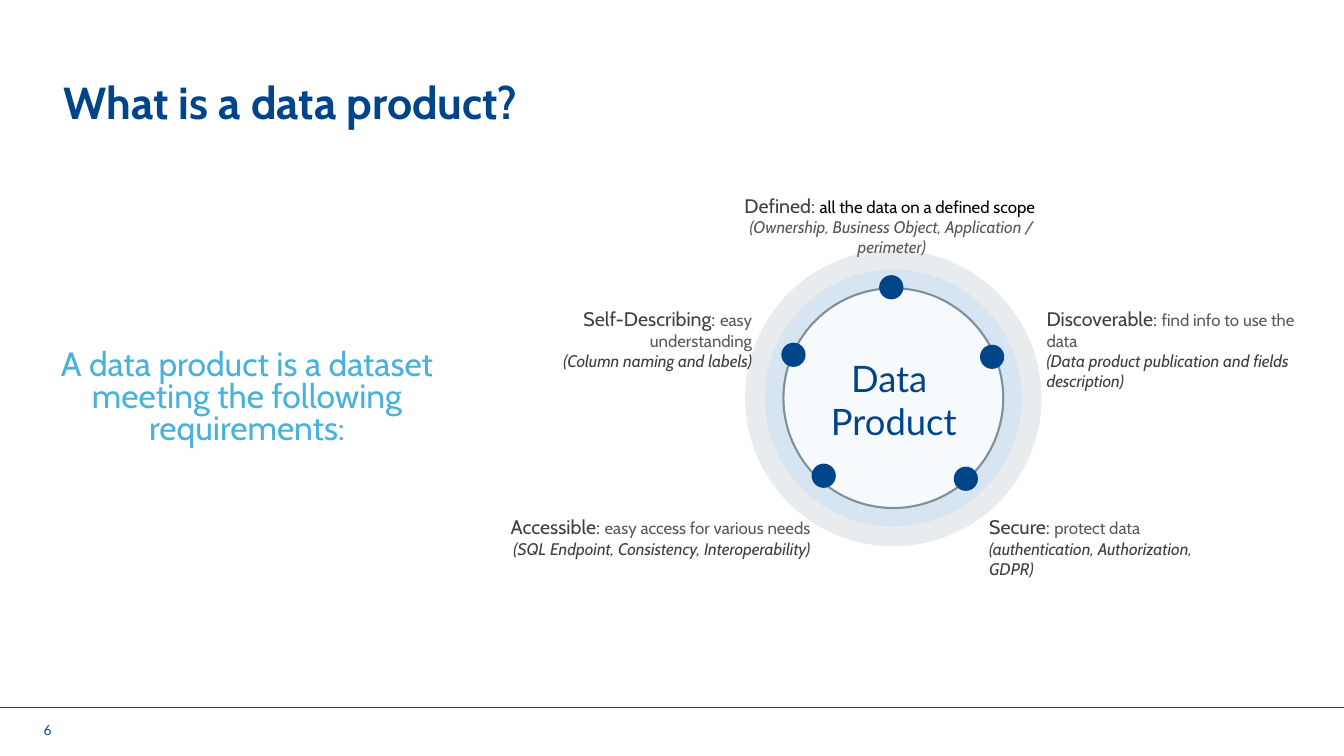
from lxml import etree
from pptx import Presentation
from pptx.dml.color import RGBColor
from pptx.enum.shapes import MSO_CONNECTOR, MSO_SHAPE
from pptx.enum.text import MSO_ANCHOR, MSO_AUTO_SIZE, PP_ALIGN
from pptx.oxml.ns import qn
from pptx.util import Inches, Pt

LEFT, CENTER, RIGHT = PP_ALIGN.LEFT, PP_ALIGN.CENTER, PP_ALIGN.RIGHT
TOP, MIDDLE, BOTTOM = MSO_ANCHOR.TOP, MSO_ANCHOR.MIDDLE, MSO_ANCHOR.BOTTOM
GROW, FIXED = MSO_AUTO_SIZE.SHAPE_TO_FIT_TEXT, MSO_AUTO_SIZE.NONE
OVAL = MSO_SHAPE.OVAL
STRAIGHT = MSO_CONNECTOR.STRAIGHT

COLORS = {
    "navy": "004489", "sky": "4AB1DA", "slate": "374146", "gray": "595959",
    "charcoal": "3F3F3F", "black": "000000", "outline": "7E9099",
    "outer": "D4DADD", "middle": "B4D9FF", "inner": "FFFFFF",
}
PALETTE = {name: RGBColor.from_string(value) for name, value in COLORS.items()}

deck = Presentation()
deck.slide_width, deck.slide_height = Inches(13.33), Inches(7.5)
CELL = deck.slide_height / 75
page = deck.slides.add_slide(deck.slide_layouts[6])


def cells(*counts):
    return [round(count * CELL) for count in counts]


def add_text(place, paragraphs, align=LEFT, anchor=TOP, size=FIXED,
             margins=(1, 0.5, 1, 0.5), spacing=1.0):
    box = page.shapes.add_textbox(*cells(*place))
    left, top, right, bottom = cells(*margins)
    frame_format = {
        "word_wrap": True, "auto_size": size, "vertical_anchor": anchor,
        "margin_left": left, "margin_top": top,
        "margin_right": right, "margin_bottom": bottom,
    }
    for name, value in frame_format.items():
        setattr(box.text_frame, name, value)
    for index, spans in enumerate(paragraphs):
        para = box.text_frame.paragraphs[0] if index == 0 else box.text_frame.add_paragraph()
        para.alignment, para.line_spacing = align, spacing
        for text, color, font_format in spans:
            span = para.add_run()
            span.text = text
            span.font.color.rgb = PALETTE[color]
            for name, value in font_format.items():
                setattr(span.font, name, value)


TITLE = {"name": "Cabin", "size": Pt(32), "bold": True}
STATEMENT = {"name": "Cabin", "size": Pt(24)}
TERM = {"name": "Cabin", "size": Pt(14)}
MEANING = {"name": "Cabin", "size": Pt(12)}
EXAMPLE = {**MEANING, "italic": True}
HUB = {"name": "Lato", "size": Pt(26)}
NUMBER = {"name": "Lato", "size": Pt(9.8)}

footer_line = page.shapes.add_connector(
    STRAIGHT, 0, *cells(70.2), deck.slide_width, *cells(70.2))
footer_line.line.color.rgb = PALETTE["navy"]
footer_line.line.width = Pt(0.5)
etree.SubElement(footer_line._element.spPr, qn("a:effectLst"))

add_text((0.4, 71.4, 5.7, 2.1), [[("6", "navy", NUMBER)]], RIGHT, MIDDLE)
add_text((6.3, 1, 120.7, 12.6), [[("What is a data product?", "navy", TITLE)]],
         anchor=BOTTOM, margins=(0, 0, 0, 0.8), spacing=0.9)
add_text((0, 28.4, 49, 22.3),
         [[("A data product is a dataset", "sky", STATEMENT)],
          [("meeting the following requirements:", "sky", STATEMENT)]],
         CENTER, MIDDLE, spacing=0.8)

RING_X, RING_Y, DOT = 88.6, 39.5, 2.4
rings = [(29.4, "outer", 49), (25.5, "middle", 32), (21.8, "inner", 82)]
dots = [(78.7, 35.2), (88.4, 28.5), (98.4, 35.4), (81.7, 47.2), (95.8, 47.5)]
circles = [(RING_X, RING_Y, *ring) for ring in rings]
circles += [(x, y, DOT, "navy", 100) for x, y in dots]

for x, y, diameter, color, opacity in circles:
    circle = page.shapes.add_shape(
        OVAL, *cells(x - diameter / 2, y - diameter / 2, diameter, diameter))
    circle.shadow.inherit = False
    circle.fill.solid()
    circle.fill.fore_color.rgb = PALETTE[color]
    if opacity < 100:
        fill_color = circle._element.spPr.find(qn("a:solidFill"))[0]
        etree.SubElement(fill_color, qn("a:alpha"), val=str(opacity * 1000))
    if color == "inner":
        circle.line.color.rgb = PALETTE["outline"]
        circle.line.width = Pt(1.5)
    else:
        circle.line.fill.background()

requirements = [
    ((72.8, 18.7, 31.3, 5.4), CENTER, "Defined: ", "all the data on a defined scope ", "black",
     "(Ownership, Business Object, Application / perimeter)", "gray"),
    ((103.8, 30, 26.1, 7.4), LEFT, "Discoverable: ", "find info to use the data", "gray",
     "(Data product publication and fields description)", "charcoal"),
    ((98.1, 50.6, 21.8, 5.4), LEFT, "Secure: ", "protect data", "gray",
     "(authentication, Authorization, GDPR)", "charcoal"),
    ((49.1, 50.6, 31.3, 5.4), RIGHT, "Accessible: ", "easy access for various needs", "gray",
     "(SQL Endpoint, Consistency, Interoperability)", "charcoal"),
    ((49.1, 30, 25.5, 5.4), RIGHT, "Self-Describing: ", "easy understanding", "gray",
     "(Column naming and labels)", "charcoal"),
]
for place, align, term, meaning, meaning_color, example, example_color in requirements:
    add_text(place,
             [[(term, "slate", TERM), (meaning, meaning_color, MEANING)],
              [(example, example_color, EXAMPLE)]],
             align, size=GROW, margins=(0, 0.5, 0, 0.5))

add_text((79.7, 34.8, 17.9, 9.8),
         [[("Data ", "navy", HUB)], [("Product", "navy", HUB)]], CENTER, size=GROW)

deck.save("out.pptx")
